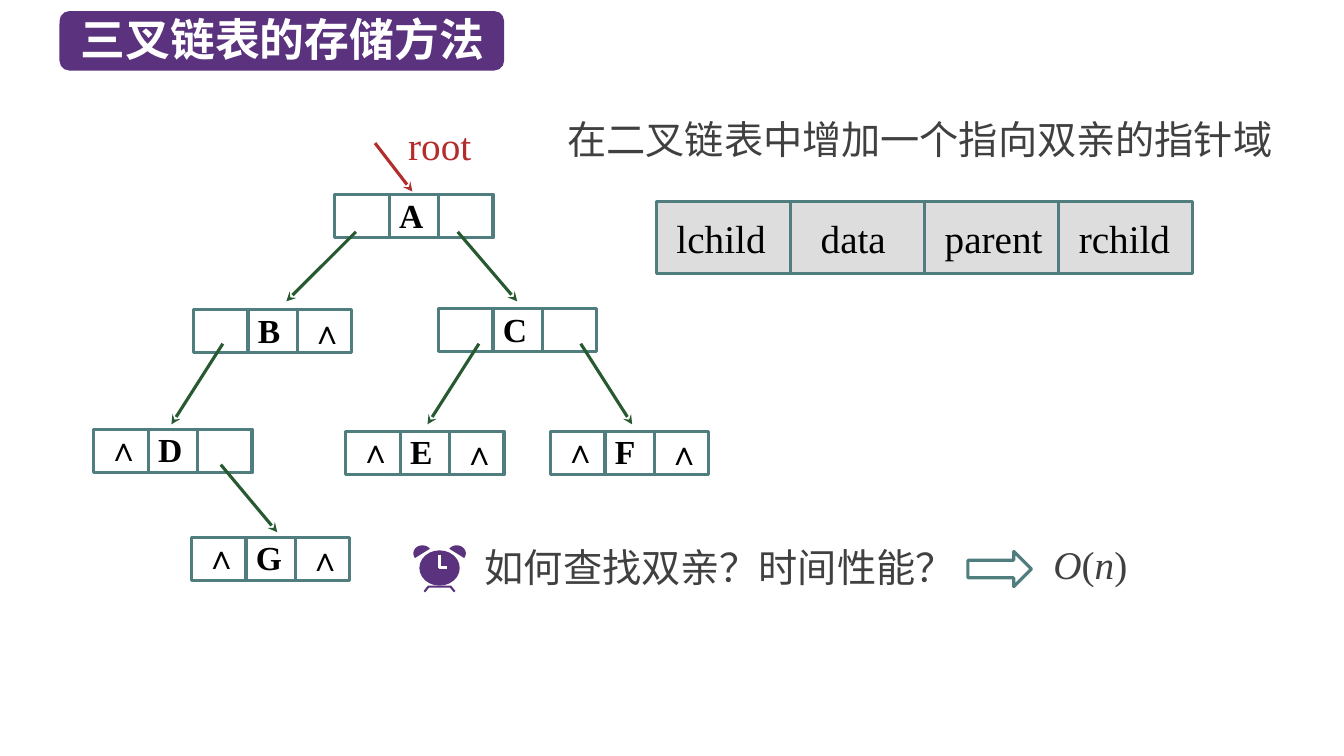
"""Build the slide on storing a binary tree as a triply linked list."""
import math

from lxml import etree
from pptx import Presentation
from pptx.dml.color import RGBColor
from pptx.enum.shapes import MSO_CONNECTOR, MSO_SHAPE
from pptx.enum.text import MSO_ANCHOR, MSO_AUTO_SIZE, PP_ALIGN
from pptx.oxml.ns import qn
from pptx.util import Inches, Pt

RECTANGLE = MSO_SHAPE.RECTANGLE
LEFT = PP_ALIGN.LEFT
TOP, MIDDLE = MSO_ANCHOR.TOP, MSO_ANCHOR.MIDDLE
SANS, SERIF = "Noto Sans CJK SC", "Times New Roman"
PURPLE, TEAL, GREEN, RED = "5A327D", "507D7D", "285A32", "B42D2D"
GRAY, LIGHT, BLACK, WHITE = "404040", "DDDDDD", "000000", "FFFFFF"

TITLE = "三叉链表的存储方法"
NULL = "∧"
NODES = [
    ("A", 3.32, 1.93, False, False),
    ("B", 1.92, 3.07, False, True),
    ("C", 4.35, 3.06, False, False),
    ("D", 0.93, 4.26, True, False),
    ("E", 3.43, 4.28, True, True),
    ("F", 5.46, 4.28, True, True),
    ("G", 1.9, 5.33, True, True),
]
ARROWS = [
    (3.72, 1.42, 4.09, 1.9, RED),
    (3.53, 2.3, 2.84, 2.99, GREEN),
    (4.54, 2.3, 5.13, 2.99, GREEN),
    (2.21, 3.41, 1.7, 4.21, GREEN),
    (4.75, 3.41, 4.24, 4.21, GREEN),
    (5.76, 3.41, 6.27, 4.21, GREEN),
    (2.19, 4.61, 2.75, 5.28, GREEN),
]
FIELDS = [("lchild", 0.2), ("data", 0.3), ("parent", 0.2), ("rchild", 0.2)]
FIELD_BOX = (6.51, 2, 1.33, 0.71)
LABELS = [
    ([("root", False)], (3.95, 1.15, 1.41, 0.57), SERIF, RED),
    ([("在二叉链表中增加一个指向双亲的指针域", False)], (5.53, 1.09, 7.23, 0.57), SANS, GRAY),
    ([("如何查找双亲？时间性能？", False)], (4.71, 5.34, 4.89, 0.57), SERIF, GRAY),
    ([("O", True), ("(", False), ("n", True), (")", False)],
     (10.35, 5.31, 1.03, 0.57), SERIF, GRAY),
]
CLOCK_CENTER = 4.36
CLOCK_FACE = (4.16, 5.46, 0.4, 0.35)
CLOCK_HANDS = [(4.36, 5.51), (4.36, 5.63), (4.43, 5.63)]
CLOCK_LEGS = [(4.21, 5.87), (4.25, 5.82), (4.47, 5.82), (4.51, 5.87)]

presentation = Presentation()
presentation.slide_width, presentation.slide_height = Inches(13.33), Inches(7.5)
slide = presentation.slides.add_slide(presentation.slide_layouts[5])
shapes = slide.shapes


def color(value):
    return RGBColor.from_string(value)


def style(shape, fill=None, line=None, width=2.25):
    shape.shadow.inherit = False
    if fill:
        shape.fill.solid()
        shape.fill.fore_color.rgb = color(fill)
    else:
        shape.fill.background()
    if line:
        shape.line.color.rgb = color(line)
        shape.line.width = Pt(width)
    else:
        shape.line.fill.background()


def add_box(kind, box, fill=None, line=None):
    shape = shapes.add_shape(kind, *map(Inches, box))
    style(shape, fill, line)
    return shape


def write(shape, runs, size, font, text_color, bold=False, insets=(0.1, 0.05, 0.1, 0.05), anchor=TOP):
    frame = shape.text_frame
    sides = zip(("margin_left", "margin_top", "margin_right", "margin_bottom"), map(Inches, insets))
    settings = dict(sides, word_wrap=True, auto_size=MSO_AUTO_SIZE.NONE, vertical_anchor=anchor)
    for name, value in settings.items():
        setattr(frame, name, value)
    paragraph = frame.paragraphs[0]
    paragraph.alignment = LEFT
    for text, italic in runs:
        run = paragraph.add_run()
        run.text = text
        formats = {"name": font, "size": Pt(size), "bold": bold, "italic": italic}
        for name, value in formats.items():
            setattr(run.font, name, value)
        run.font.color.rgb = color(text_color)
        properties = run.font._element
        etree.SubElement(properties, qn("a:ea"), typeface=SANS)


def add_text(box, runs, size, font, text_color, **options):
    write(shapes.add_textbox(*map(Inches, box)), runs, size, font, text_color, **options)


def add_arrow(start_x, start_y, end_x, end_y, line):
    ends = map(Inches, (start_x, start_y, end_x, end_y))
    arrow = shapes.add_connector(MSO_CONNECTOR.STRAIGHT, *ends)
    arrow.line.color.rgb = color(line)
    arrow.line.width = Pt(2.25)
    etree.SubElement(arrow.line._get_or_add_ln(), qn("a:tailEnd"), type="stealth")
    etree.SubElement(arrow.element.spPr, qn("a:effectLst"))


def add_outline(points, close=False, **options):
    start, *rest = [(Inches(x), Inches(y)) for x, y in points]
    builder = shapes.build_freeform(*start)
    builder.add_line_segments(rest, close=close)
    style(builder.convert_to_shape(), **options)


def add_node(letter, left, top, left_null, right_null):
    add_box(RECTANGLE, (left, top, 1.57, 0.43), line=TEAL)
    cell = add_box(RECTANGLE, (left + 0.54, top, 0.49, 0.43), line=TEAL)
    write(cell, [(letter, False)], 24, SERIF, BLACK, bold=True, insets=(0.1, 0, 0.02, 0.01))
    for is_null, x, y in ((left_null, 0.07, -0.02), (right_null, 1.1, 0)):
        if is_null:
            add_text((left + x, top + y, 0.46, 0.4), [(NULL, False)], 24, SERIF, BLACK,
                     bold=True, insets=(0.06, 0.01, 0.02, 0.01))


def add_clock():
    add_outline(CLOCK_LEGS, line=PURPLE, width=1.5)
    for side in (-1, 1):
        angles = [math.radians(degree) for degree in range(-30, 151, 10)]
        bell = [(CLOCK_CENTER + side * (0.17 - 0.09 * math.cos(angle)),
                 5.49 - 0.08 * math.sin(angle + math.radians(60))) for angle in angles]
        bell = [(CLOCK_CENTER + side * (0.17 + 0.09 * math.cos(math.radians(degree))),
                 5.49 - 0.08 * math.sin(math.radians(degree))) for degree in range(-35, 146, 10)]
        add_outline(bell, close=True, fill=PURPLE)
    add_box(MSO_SHAPE.OVAL, CLOCK_FACE, fill=PURPLE)
    add_outline(CLOCK_HANDS, line=WHITE)


title = shapes.title
title.left, title.top, title.width, title.height = map(Inches, (0.7, 0.07, 4.3, 0.64))
write(title, [(TITLE, False)], 32, SANS, WHITE, bold=True)
banner = add_box(MSO_SHAPE.ROUNDED_RECTANGLE, (0.59, 0.11, 4.41, 0.59), fill=PURPLE)
title.element.addprevious(banner.element)

for node in NODES:
    add_node(*node)
for arrow_ends in ARROWS:
    add_arrow(*arrow_ends)

field_left, field_top, field_width, field_height = FIELD_BOX
for index, (field, indent) in enumerate(FIELDS):
    field_box = (field_left + index * field_width, field_top, field_width, field_height)
    field_cell = add_box(RECTANGLE, field_box, fill=LIGHT, line=TEAL)
    write(field_cell, [(field, False)], 28, SERIF, BLACK, insets=(indent, 0, 0, 0), anchor=MIDDLE)

for label_runs, label_box, label_font, label_color in LABELS:
    add_text(label_box, label_runs, 28, label_font, label_color)
add_clock()
add_box(MSO_SHAPE.RIGHT_ARROW, (9.6, 5.47, 0.63, 0.35), line=TEAL)

presentation.save("out.pptx")
